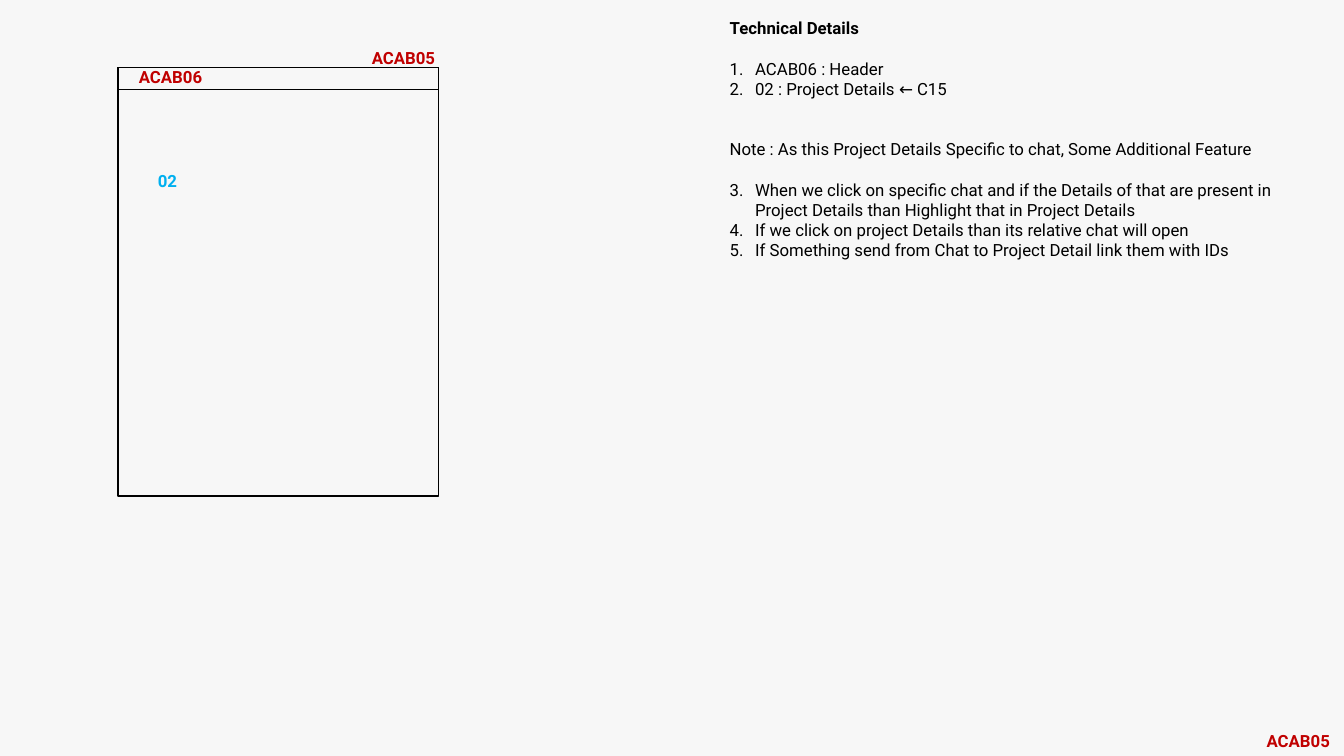
from dataclasses import dataclass

from lxml import etree
from pptx import Presentation
from pptx import util as u
from pptx.dml.color import RGBColor
from pptx.enum import shapes, text
from pptx.oxml.ns import qn

COLORS = {"page": "F7F7F7", "ink": "000000", "red": "C00000", "blue": "00B0F0"}
FONT = "Roboto"
SIZE = u.Pt(12)
LINE = 14.4  # height of one text line in points
INDENT = u.Cm(0.64)


@dataclass
class Box:
    left: float
    top: float
    width: float
    height: float

    def place(self) -> list:
        return [u.Cm(v) for v in (self.left, self.top, self.width, self.height)]


@dataclass
class Label:
    words: str
    box: Box
    color: str = "red"


@dataclass
class Item:
    words: str
    start: int = 0  # first number of its list, 0 for plain text
    gap: int = 0  # empty lines above
    bold: bool = False


FRAMES = [Box(2.97, 1.7, 8.08, 10.8), Box(2.97, 1.7, 8.08, 0.56)]

LABELS = [
    Label("ACAB05", Box(9.12, 1.07, 2.54, 0.76)),
    Label("ACAB06", Box(3.25, 1.55, 2.51, 0.76)),
    Label("02", Box(3.73, 4.17, 2.01, 0.76), "blue"),
    Label("ACAB05", Box(31.67, 18.29, 2.19, 0.76)),
]

NOTES = Box(18.14, 0.33, 15.44, 6.93)
ITEMS = [
    Item("Technical Details", bold=True),
    Item("ACAB06 : Header", start=1, gap=1),
    Item("02 : Project Details ← C15", start=1),
    Item("Note : As this Project Details Specific to chat, Some Additional Feature", gap=2),
    Item("When we click on specific chat and if the Details of that are present in "
         "Project Details than Highlight that in Project Details", start=3, gap=1),
    Item("If we click on project Details than its relative chat will open", start=3),
    Item("If Something send from Chat to Project Detail link them with IDs", start=3),
]


def paint(name: str) -> RGBColor:
    return RGBColor.from_string(COLORS[name])


def add_frame(slide, box: Box) -> None:
    rect = slide.shapes.add_shape(shapes.MSO_SHAPE.RECTANGLE, *box.place())
    rect.shadow.inherit = False
    rect.fill.background()
    rect.line.color.rgb = paint("ink")
    rect.line.width = u.Pt(1)


def add_text(slide, box: Box):
    frame = slide.shapes.add_textbox(*box.place()).text_frame
    frame.word_wrap = True
    frame.auto_size = text.MSO_AUTO_SIZE.SHAPE_TO_FIT_TEXT
    return frame


def add_run(para, words: str, color: str, bold: bool) -> None:
    run = para.add_run()
    run.text = words
    run.font.name = FONT
    run.font.size = SIZE
    run.font.bold = bold
    run.font.color.rgb = paint(color)


def number(para, start: int) -> None:
    props = para._p.get_or_add_pPr()
    props.set("marL", str(INDENT))
    props.set("indent", str(-INDENT))
    mark = etree.SubElement(props, qn("a:buAutoNum"), type="arabicPeriod")
    if start > 1:
        mark.set("startAt", str(start))


def add_notes(slide, box: Box, items: list[Item]) -> None:
    frame = add_text(slide, box)
    for i, item in enumerate(items):
        para = frame.add_paragraph() if i else frame.paragraphs[0]
        if item.gap:
            para.space_before = u.Pt(item.gap * LINE)
        if item.start:
            number(para, item.start)
        add_run(para, item.words, "ink", item.bold)


def main() -> None:
    deck = Presentation()
    deck.slide_width, deck.slide_height = u.Cm(33.87), u.Cm(19.05)
    slide = deck.slides.add_slide(deck.slide_layouts[6])
    slide.background.fill.solid()
    slide.background.fill.fore_color.rgb = paint("page")

    # Panel with its header
    for box in FRAMES:
        add_frame(slide, box)

    # Technical notes
    add_notes(slide, NOTES, ITEMS)

    # Codes
    for label in LABELS:
        para = add_text(slide, label.box).paragraphs[0]
        add_run(para, label.words, label.color, True)

    deck.save("out.pptx")


if __name__ == "__main__":
    main()
